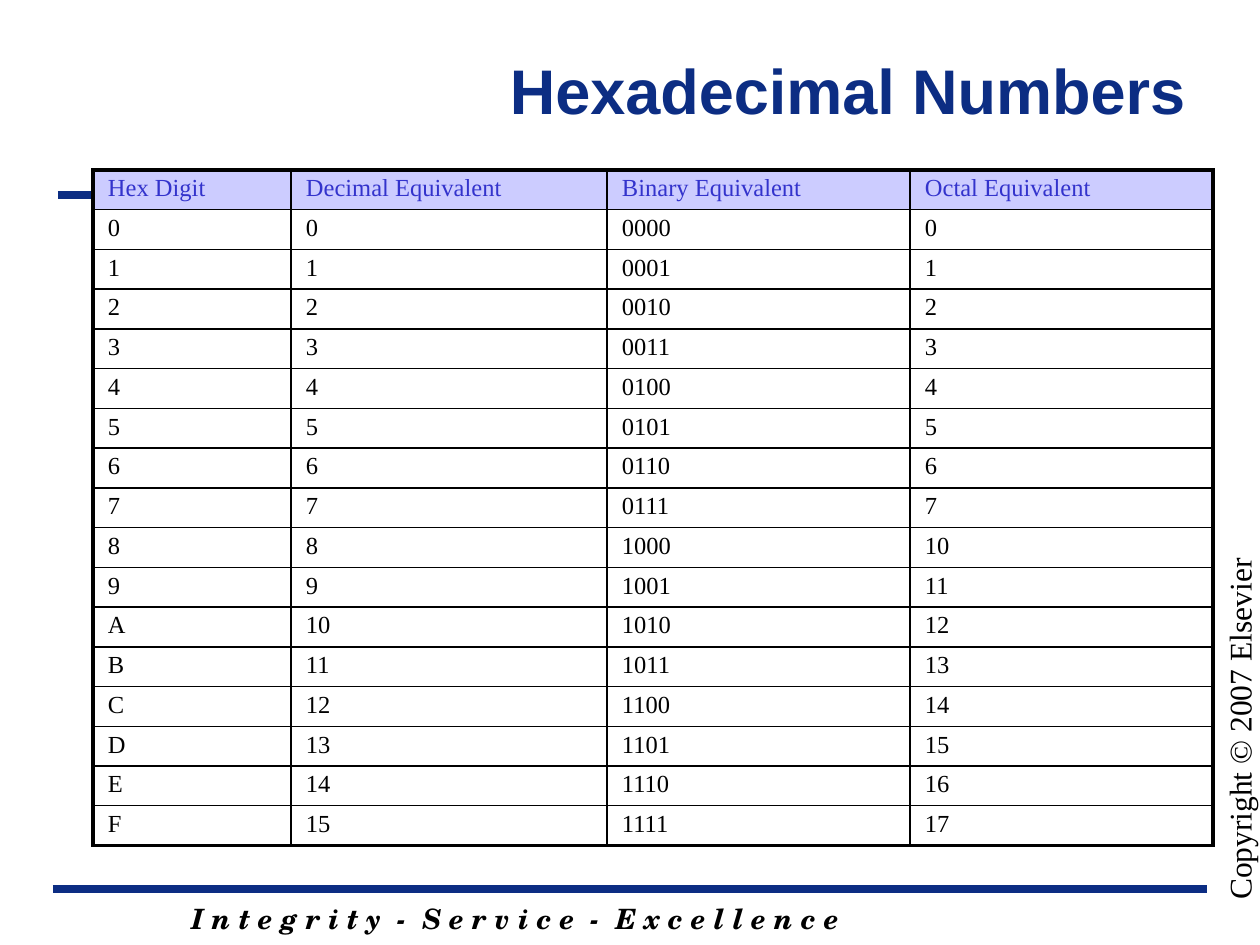
from lxml import etree
from pptx import Presentation
from pptx.dml.color import RGBColor
from pptx.enum.shapes import MSO_CONNECTOR
from pptx.enum.text import MSO_ANCHOR, PP_ALIGN
from pptx.oxml.ns import qn
from pptx.util import Emu, Pt

LINE = MSO_CONNECTOR.STRAIGHT
TOP, MIDDLE = MSO_ANCHOR.TOP, MSO_ANCHOR.MIDDLE
LEFT, RIGHT = PP_ALIGN.LEFT, PP_ALIGN.RIGHT
NAVY = RGBColor(0x0C, 0x2D, 0x83)
BLUE = RGBColor(0x33, 0x33, 0xCC)
LILAC = RGBColor(0xCC, 0xCC, 0xFF)
BLACK = RGBColor(0, 0, 0)
SERIF = "Times New Roman"
THIN, THICK = Pt(1), Pt(2.25)


def px(n):
    return Emu(round(n * 914400 / 126))


def style(para, name, size, color, bold=False, slant=False):
    font = para.font
    font.name, font.size = name, Pt(size)
    font.bold, font.italic = bold, slant
    font.color.rgb = color


deck = Presentation()
deck.slide_width, deck.slide_height = px(1260), px(945)
slide = deck.slides.add_slide(deck.slide_layouts[6])
shapes = slide.shapes

for left, right, y in [(53, 1207, 889), (58, 1213, 195)]:
    rule = shapes.add_connector(LINE, px(left), px(y), px(right), px(y))
    rule.line.color.rgb = NAVY
    rule.line.width = Pt(4.5)
    etree.SubElement(rule._element.spPr, qn("a:effectLst"))

texts = [
    ("I n t e g r i t y  -  S e r v i c e  -  E x c e l l e n c e",
     (179, 895, 903, 47), 0, TOP, LEFT,
     ("TeX Gyre Schola", 16, BLACK, True, True)),
    ("Hexadecimal Numbers",
     (263, 10, 935, 158), 0, MIDDLE, RIGHT, ("Arial", 36, NAVY, True)),
    ("Copyright © 2007 Elsevier",
     (1046, 714, 399, 63), 270, TOP, RIGHT, (SERIF, 18, BLACK)),
]
for text, place, turn, anchor, align, look in texts:
    box = shapes.add_textbox(*map(px, place))
    box.rotation = turn
    frame = box.text_frame
    frame.word_wrap = True
    frame.vertical_anchor = anchor
    para = frame.paragraphs[0]
    para.text = text
    para.alignment = align
    style(para, *look)

rows = [("Hex Digit", "Decimal Equivalent",
         "Binary Equivalent", "Octal Equivalent")]
rows += [(f"{n:X}", f"{n}", f"{n:04b}", f"{n:o}") for n in range(16)]
widths = [198, 316, 303, 303]
last_row, last_col = len(rows) - 1, len(widths) - 1
high = px(676)

grid = shapes.add_table(len(rows), len(widths), px(93), px(170),
                        px(sum(widths)), high).table
grid.first_row = grid.horz_banding = False
for col, width in zip(grid.columns, widths):
    col.width = px(width)
for r, row in enumerate(rows):
    grid.rows[r].height = Emu(high // len(rows))
    for c, text in enumerate(row):
        cell = grid.cell(r, c)
        cell.margin_left = cell.margin_right = px(15)
        cell.margin_top = cell.margin_bottom = px(5)
        para = cell.text_frame.paragraphs[0]
        para.text = text
        style(para, SERIF, 14, BLACK if r else BLUE)
        props = cell._tc.get_or_add_tcPr()
        edges = [("L", c == 0), ("R", c == last_col),
                 ("T", r == 0), ("B", r == last_row)]
        for side, outer in edges:
            edge = etree.SubElement(props, qn("a:ln" + side),
                                    w=str(THICK if outer else THIN))
            fill = etree.SubElement(edge, qn("a:solidFill"))
            etree.SubElement(fill, qn("a:srgbClr"), val=str(BLACK))
        if r == 0:
            cell.fill.solid()
            cell.fill.fore_color.rgb = LILAC
        else:
            cell.fill.background()

deck.save("out.pptx")
